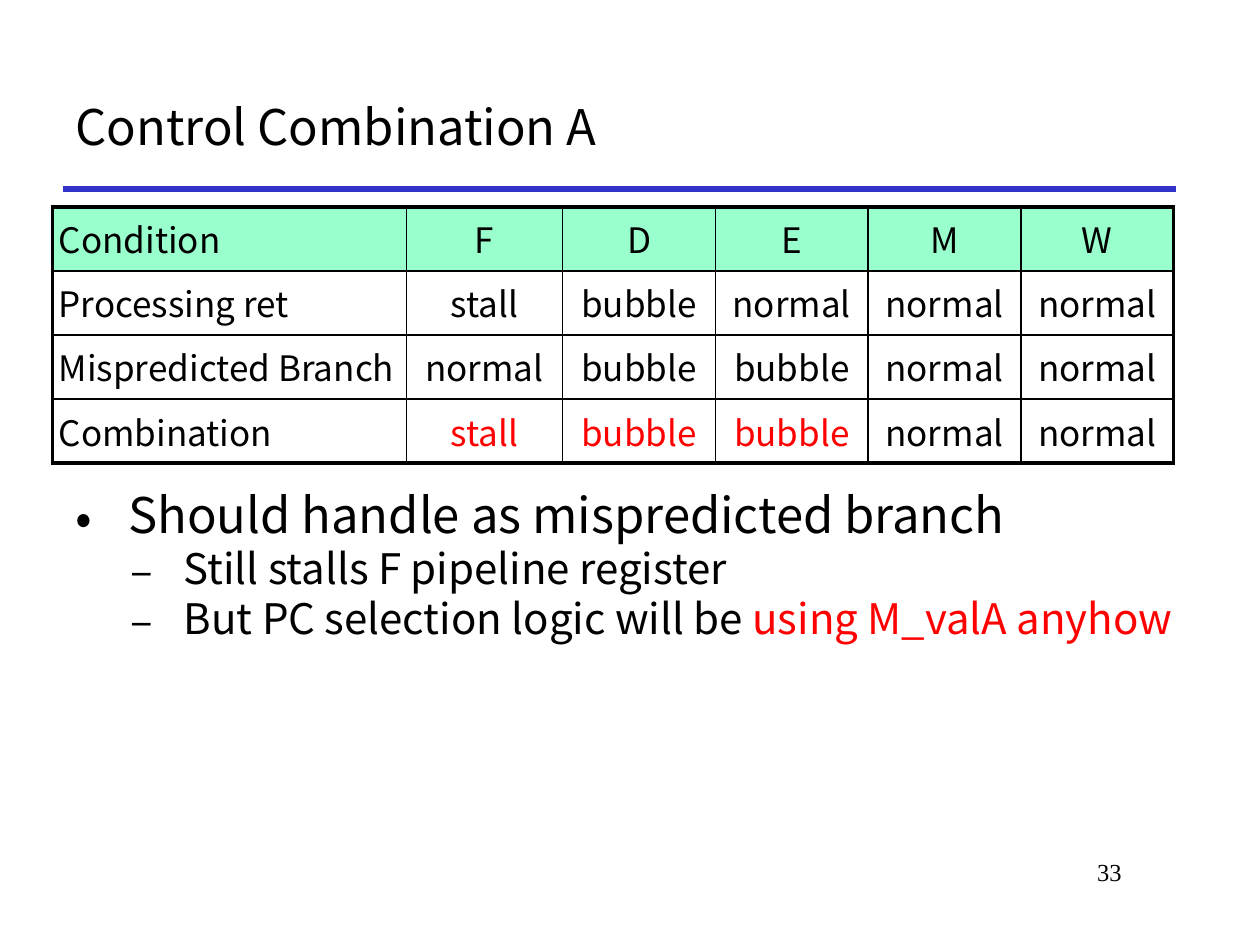
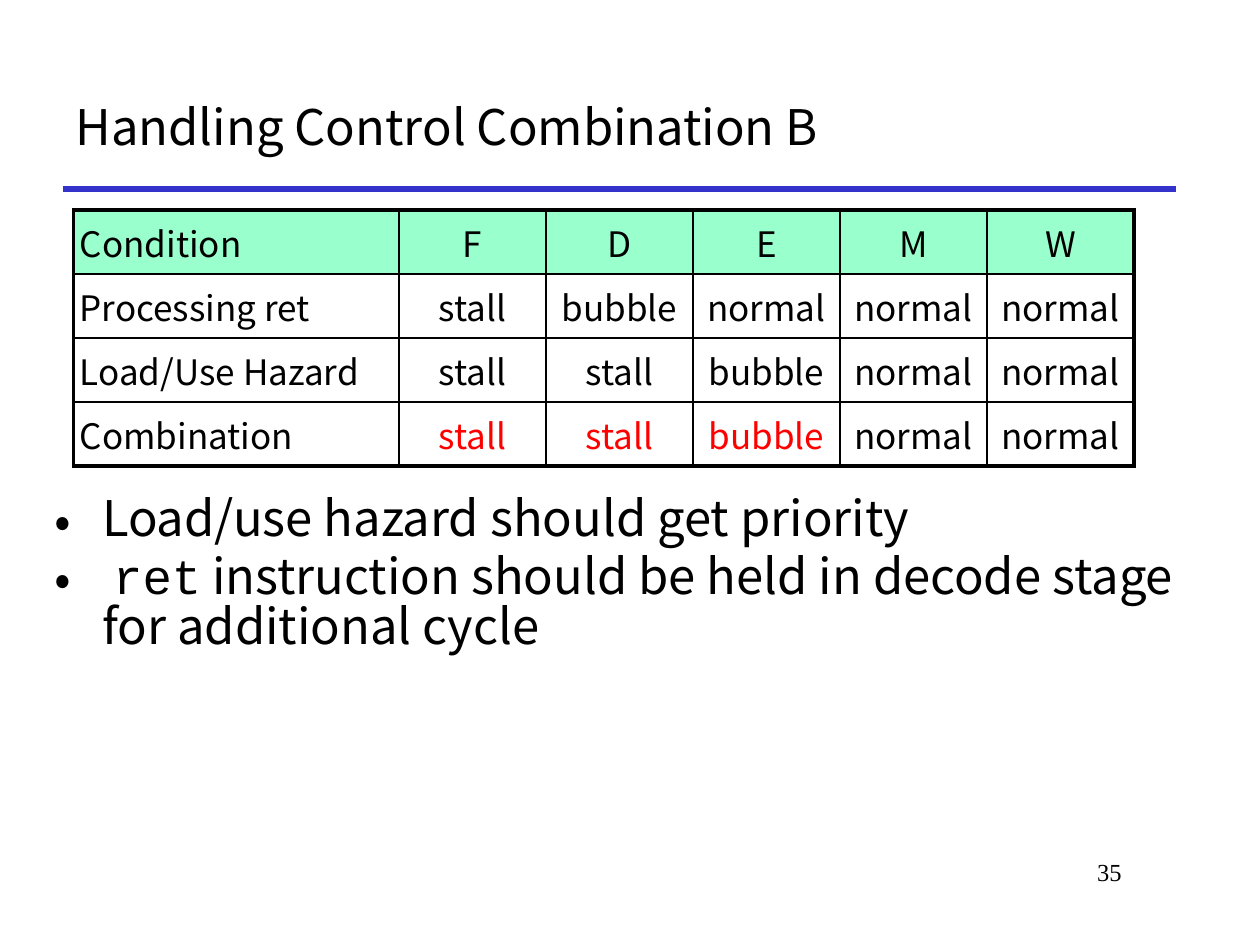
from lxml import etree
from pptx import Presentation
from pptx import util as u
from pptx.dml.color import RGBColor
from pptx.enum import shapes, text
from pptx.oxml.ns import qn

COLS, ROWS = 120, 90
SLIDE_W, SLIDE_H = u.Inches(10), u.Inches(7.5)
BLACK = RGBColor(0x00, 0x00, 0x00)
RED = RGBColor(0xFF, 0x00, 0x00)
RULE_BLUE = RGBColor(0x33, 0x33, 0xCC)
HEADER_GREEN = RGBColor(0x99, 0xFF, 0xCC)
SANS, SERIF, MONO = "Noto Sans CJK KR", "Times New Roman", "Courier New"
TITLE_BOX = (6, 6, 106, 12)
NUMBER_BOX = (91, 81, 17, 6)
STAGES = ["Condition", "F", "D", "E", "M", "W"]
ROW_H = 6.1
OUTER, INNER = 2.25, 1
BULLETS = [("•", 28), ("–", 24)]


def grid(*lengths):
    """Turn alternating columns and rows of the grid into slide lengths."""
    units = (SLIDE_W / COLS, SLIDE_H / ROWS)
    return [u.Emu(round(n * units[i % 2])) for i, n in enumerate(lengths)]


def add_run(p, words, size=28, font=SANS, color=BLACK):
    """Append a formatted run to a paragraph."""
    r = p.add_run()
    r.text = words
    r.font.size = u.Pt(size)
    r.font.name = font
    r.font.color.rgb = color


def add_box(s, box):
    """Add a wrapping text box and return its text frame."""
    tf = s.shapes.add_textbox(*grid(*box)).text_frame
    tf.word_wrap = True
    return tf


def add_frame(prs, title, number):
    """Add a slide with its title, rule and page number."""
    s = prs.slides.add_slide(prs.slide_layouts[5])
    sp = s.shapes.title
    sp.left, sp.top, sp.width, sp.height = grid(*TITLE_BOX)
    tf = sp.text_frame
    tf.auto_size = text.MSO_AUTO_SIZE.NONE
    tf.vertical_anchor = text.MSO_ANCHOR.MIDDLE
    tf.paragraphs[0].alignment = text.PP_ALIGN.LEFT
    add_run(tf.paragraphs[0], title)

    left, _, width, bottom = TITLE_BOX[0], 0, TITLE_BOX[2], sum(TITLE_BOX[1::2])
    rule = s.shapes.add_connector(shapes.MSO_CONNECTOR.STRAIGHT,
                                  *grid(left, bottom, left + width, bottom))
    rule.line.color.rgb = RULE_BLUE
    rule.line.width = u.Pt(3)
    etree.SubElement(rule._element.spPr, qn("a:effectLst"))

    p = add_box(s, NUMBER_BOX).paragraphs[0]
    p.alignment = text.PP_ALIGN.RIGHT
    add_run(p, str(number), size=14, font=SERIF)
    return s


def set_border(cell, side, width):
    """Draw one black side of a table cell."""
    ln = etree.SubElement(cell._tc.get_or_add_tcPr(), qn(f"a:ln{side}"),
                          w=str(u.Pt(width)))
    fill = etree.SubElement(ln, qn("a:solidFill"))
    etree.SubElement(fill, qn("a:srgbClr"), val=str(BLACK))


def add_stage_table(s, origin, widths, conditions):
    """Add the pipeline stage table; its last row marks actions in red."""
    rows = [STAGES] + conditions
    box = (*origin, sum(widths), ROW_H * len(rows))
    table = s.shapes.add_table(len(rows), len(STAGES), *grid(*box)).table
    table.first_row = table.horz_banding = False
    for column, width in zip(table.columns, widths):
        column.width = grid(width)[0]
    last_row, last_col = len(rows) - 1, len(STAGES) - 1
    for i, row in enumerate(rows):
        for j, words in enumerate(row):
            cell = table.cell(i, j)
            cell.margin_left = cell.margin_right = u.Inches(0.05)
            cell.margin_top = cell.margin_bottom = u.Inches(0.05)
            edges = {"L": j == 0, "R": j == last_col, "T": i == 0, "B": i == last_row}
            for side, outer in edges.items():
                set_border(cell, side, OUTER if outer else INNER)
            if i == 0:
                cell.fill.solid()
                cell.fill.fore_color.rgb = HEADER_GREEN
            else:
                cell.fill.background()
            p = cell.text_frame.paragraphs[0]
            p.alignment = text.PP_ALIGN.CENTER if j else text.PP_ALIGN.LEFT
            marked = i == last_row and j > 0 and words != "normal"
            add_run(p, words, size=20, color=RED if marked else BLACK)


def add_bullets(s, box, indent, items):
    """Add bullets, each a level and its runs of words and format."""
    tf = add_box(s, box)
    for i, (level, runs) in enumerate(items):
        p = tf.paragraphs[0] if i == 0 else tf.add_paragraph()
        mark, size = BULLETS[level]
        p.level = level
        p.line_spacing = 0.85
        p.space_before = u.Pt(round(size * 0.17, 1) if i else 0)
        pPr = p._p.get_or_add_pPr()
        pPr.set("marL", str(u.Inches(indent + 0.44 * level)))
        pPr.set("indent", str(-u.Inches(indent)))
        etree.SubElement(pPr, qn("a:buFont"), typeface=SANS)
        etree.SubElement(pPr, qn("a:buChar"), char=mark)
        for words, style in runs:
            add_run(p, words, size=size, **style)


def add_combination_a(prs):
    """Build the slide on control combination A."""
    s = add_frame(prs, "Control Combination A", 33)
    add_stage_table(s, (5, 19.7), [33.7, 14.9] + [14.55] * 4, [
        ["Processing ret", "stall", "bubble", "normal", "normal", "normal"],
        ["Mispredicted Branch", "normal", "bubble", "bubble", "normal", "normal"],
        ["Combination", "stall", "bubble", "bubble", "normal", "normal"],
    ])
    add_bullets(s, (6, 46.4, 110.4, 36.6), 0.42, [
        (0, [("Should handle as mispredicted branch", {})]),
        (1, [("Still stalls F pipeline register", {})]),
        (1, [("But PC selection logic will be ", {}),
             ("using M_valA anyhow", {"color": RED})]),
    ])


def add_combination_b(prs):
    """Build the slide on handling control combination B."""
    s = add_frame(prs, "Handling Control Combination B", 35)
    add_stage_table(s, (7, 20), [31] + [14] * 5, [
        ["Processing ret", "stall", "bubble", "normal", "normal", "normal"],
        ["Load/Use Hazard", "stall", "stall", "bubble", "normal", "normal"],
        ["Combination", "stall", "stall", "bubble", "normal", "normal"],
    ])
    add_bullets(s, (4, 46.7, 110.4, 27.5), 0.38, [
        (0, [("Load/use hazard should get priority", {})]),
        (0, [(" ", {}), ("ret", {"font": MONO}),
             (" instruction should be held in decode stage for additional cycle", {})]),
    ])


def main():
    """Build both slides and save them."""
    prs = Presentation()
    prs.slide_width, prs.slide_height = SLIDE_W, SLIDE_H
    add_combination_a(prs)
    add_combination_b(prs)
    prs.save("out.pptx")


if __name__ == "__main__":
    main()
